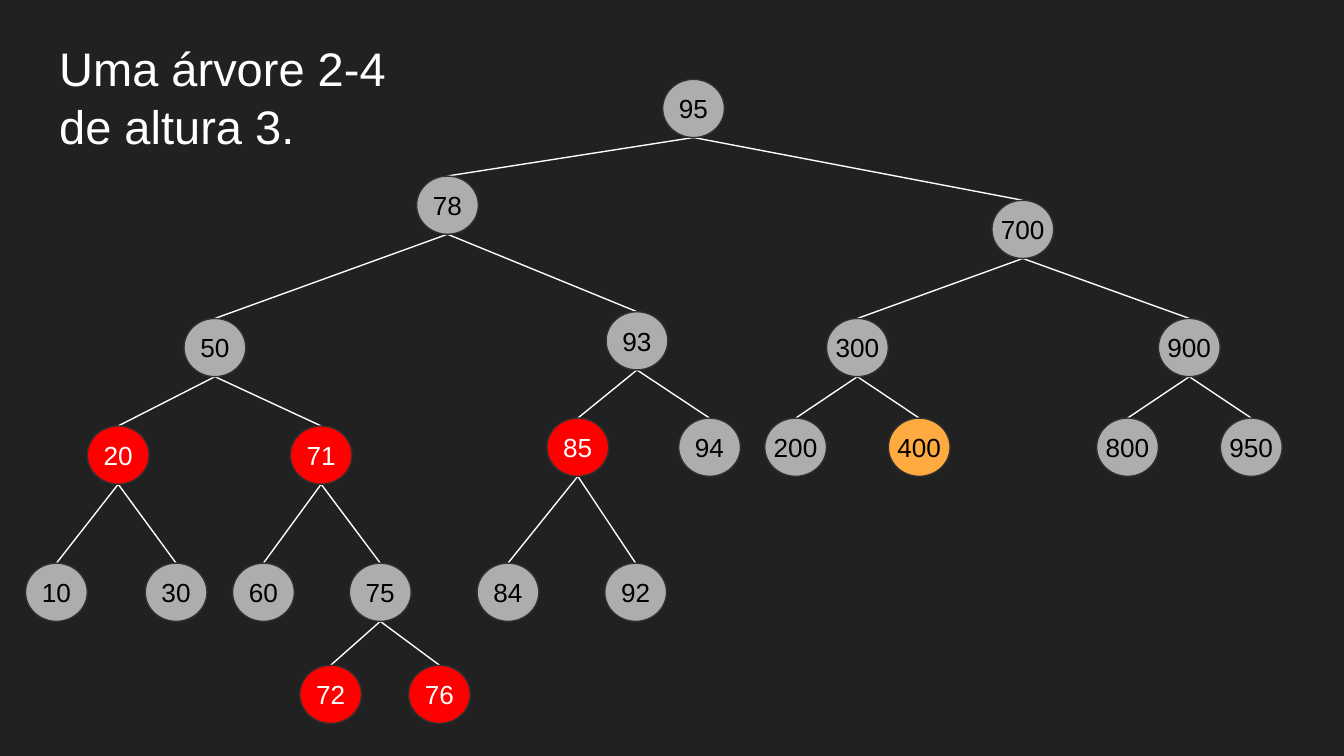
"""Build a slide showing a 2-4 tree of height 3 drawn as a red-black tree."""
from lxml import etree
from pptx import Presentation
from pptx import util as u
from pptx.dml import color
from pptx.enum import shapes, text
from pptx.oxml import ns

COLOURS = {"background": "212121", "white": "FFFFFF", "black": "000000",
           "outline": "303030", "grey": "ADADAD", "red": "FF0000", "orange": "FFAB40"}
NODE_WIDTH, NODE_HEIGHT = 33.1, 31.2
NODES = {
    95: (355, 42.5, "grey"), 78: (223.2, 94.3, "grey"), 700: (531.4, 107.3, "grey"),
    50: (98.6, 170.6, "grey"), 93: (324.7, 167, "grey"),
    300: (442.8, 170.6, "grey"), 900: (620.6, 170.6, "grey"),
    20: (46.8, 228.2, "red"), 71: (155.5, 228.2, "red"),
    85: (293, 224, "red"), 94: (363.6, 224, "grey"),
    200: (409.7, 224, "grey"), 400: (475.9, 224, "orange"),
    800: (587.5, 224, "grey"), 950: (653.8, 224, "grey"),
    10: (13.7, 301.7, "grey"), 30: (77.8, 301.7, "grey"),
    60: (124.6, 301.7, "grey"), 75: (187.2, 301.7, "grey"),
    84: (255.6, 301.7, "grey"), 92: (324, 301.7, "grey"),
    72: (160.6, 356.4, "red"), 76: (218.9, 356.4, "red"),
}
CHILDREN = {95: (78, 700), 78: (50, 93), 700: (300, 900), 50: (20, 71), 93: (85, 94),
            300: (200, 400), 900: (800, 950), 20: (10, 30), 71: (60, 75),
            85: (84, 92), 75: (72, 76)}


def rgb(name):
    return color.RGBColor.from_string(COLOURS[name])


def style_text(para, size, colour):
    for span in para.runs:
        span.font.name = "Arial"
        span.font.size = u.Pt(size)
        span.font.color.rgb = rgb(colour)


deck = Presentation()
deck.slide_width, deck.slide_height = u.Pt(720), u.Pt(405)
page = deck.slides.add_slide(deck.slide_layouts[5])
page.background.fill.solid()
page.background.fill.fore_color.rgb = rgb("background")

title = page.shapes.title
title.left, title.top, title.width, title.height = u.Pt(24.5), u.Pt(13), u.Pt(671), u.Pt(45)
frame = title.text_frame
frame.text = "Uma árvore 2-4 \vde altura 3."
frame.auto_size = text.MSO_AUTO_SIZE.NONE
frame.vertical_anchor = text.MSO_ANCHOR.TOP
frame.margin_left = frame.margin_top = frame.margin_right = frame.margin_bottom = u.Pt(7.2)
frame.paragraphs[0].alignment = text.PP_ALIGN.LEFT
frame.paragraphs[0].line_spacing = 1.03
style_text(frame.paragraphs[0], 25.2, "white")

for parent, children in CHILDREN.items():
    start_x, start_y, _ = NODES[parent]
    for child in children:
        end_x, end_y, _ = NODES[child]
        edge = page.shapes.add_connector(
            shapes.MSO_CONNECTOR.STRAIGHT,
            u.Pt(start_x + NODE_WIDTH / 2), u.Pt(start_y + NODE_HEIGHT),
            u.Pt(end_x + NODE_WIDTH / 2), u.Pt(end_y))
        edge.line.color.rgb = rgb("white")
        edge.line.width = u.Pt(0.75)
        etree.SubElement(edge._element.spPr, ns.qn("a:effectLst"))

for key, (left, top, fill) in NODES.items():
    node = page.shapes.add_shape(shapes.MSO_SHAPE.OVAL, u.Pt(left), u.Pt(top),
                                 u.Pt(NODE_WIDTH), u.Pt(NODE_HEIGHT))
    node.shadow.inherit = False
    node.fill.solid()
    node.fill.fore_color.rgb = rgb(fill)
    node.line.color.rgb = rgb("outline")
    node.line.width = u.Pt(0.75)
    frame = node.text_frame
    frame.text = str(key)
    frame.word_wrap = False
    frame.vertical_anchor = text.MSO_ANCHOR.MIDDLE
    frame.margin_left = frame.margin_right = 0
    frame.margin_top = frame.margin_bottom = u.Pt(7.2)
    frame.paragraphs[0].alignment = text.PP_ALIGN.CENTER
    style_text(frame.paragraphs[0], 14, "white" if fill == "red" else "black")

deck.save("out.pptx")
